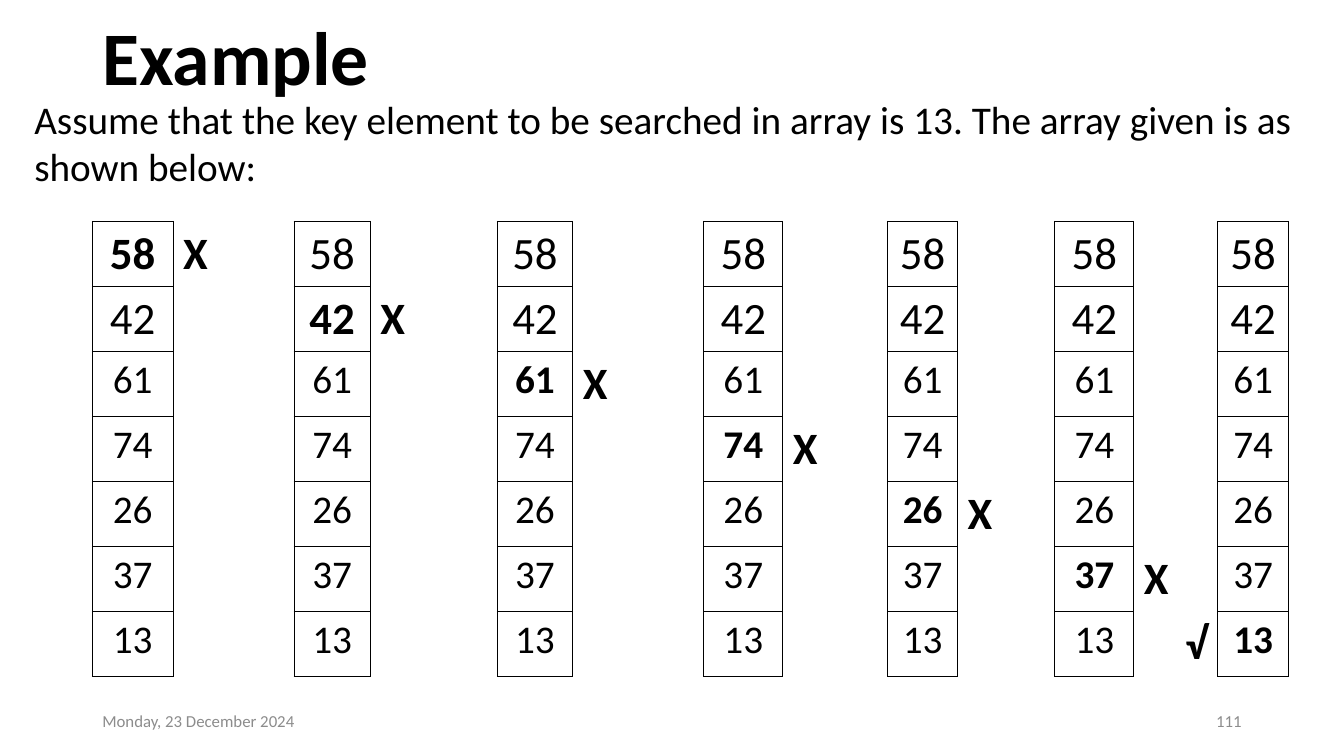
import pptx
import pptx.dml.color
import pptx.enum.text
import pptx.oxml.ns
import pptx.util
import lxml.etree

ALIGN = pptx.enum.text.PP_ALIGN
ANCHOR = pptx.enum.text.MSO_ANCHOR
AUTO_SIZE = pptx.enum.text.MSO_AUTO_SIZE
NO_TABLE_STYLE = "{2D5ABB26-0587-4C30-8999-92F81FD0307C}"
SIDES = {"a:lnL": (0, -1), "a:lnR": (0, 1), "a:lnT": (-1, 0), "a:lnB": (1, 0)}


def color(hex_text):
    return pptx.dml.color.RGBColor.from_string(hex_text)


def add_element(parent, tag, **attributes):
    return lxml.etree.SubElement(parent, pptx.oxml.ns.qn(tag), **attributes)


class SlideBuilder:
    """Holds the style and the current slide; lengths are in a 160 by 90 grid."""

    font_name = "Calibri"
    ink = "000000"
    muted = "8C8C8C"

    def __init__(self, presentation):
        self.column = presentation.slide_width / 160
        self.row = presentation.slide_height / 90
        self.slide = presentation.slides.add_slide(presentation.slide_layouts[5])

    def across(self, columns):
        return round(columns * self.column)

    def down(self, rows):
        return round(rows * self.row)

    def place(self, left, top, width, height):
        return self.across(left), self.down(top), self.across(width), self.down(height)

    def fill_text(self, frame, text, size, bold=False, ink=None, **paragraph_format):
        paragraph = frame.paragraphs[0]
        for name, value in paragraph_format.items():
            setattr(paragraph, name, value)
        run = paragraph.add_run()
        run.text = text
        font_format = {"name": self.font_name, "size": pptx.util.Pt(size), "bold": bold}
        for name, value in font_format.items():
            setattr(run.font, name, value)
        run.font.color.rgb = color(ink or self.ink)

    def title(self, text, box, size):
        shape = self.slide.shapes.title
        position = dict(zip(("left", "top", "width", "height"), self.place(*box)))
        for name, value in position.items():
            setattr(shape, name, value)
        frame = shape.text_frame
        frame.vertical_anchor = ANCHOR.MIDDLE
        self.fill_text(frame, text, size, bold=True, alignment=ALIGN.LEFT, line_spacing=0.9)

    def text(self, text, box, size, alignment, ink=None, **frame_format):
        frame = self.slide.shapes.add_textbox(*self.place(*box)).text_frame
        for name, value in {"word_wrap": True, **frame_format}.items():
            setattr(frame, name, value)
        self.fill_text(frame, text, size, ink=ink, alignment=alignment)

    def table(self, left, top, widths, heights):
        box = self.place(left, top, sum(widths), sum(heights))
        table = self.slide.shapes.add_table(len(heights), len(widths), *box).table
        table.first_row = table.horz_banding = False
        table._tbl.tblPr.find(pptx.oxml.ns.qn("a:tableStyleId")).text = NO_TABLE_STYLE
        for table_column, width in zip(table.columns, widths):
            table_column.width = self.across(width)
        for table_row, height in zip(table.rows, heights):
            table_row.height = self.down(height)
        return table

    def border(self, cell, sides):
        properties = cell._tc.get_or_add_tcPr()
        for side in sides:
            line = add_element(properties, side, w=str(pptx.util.Pt(0.75)))
            fill = add_element(line, "a:solidFill")
            add_element(fill, "a:srgbClr", val=self.ink)
        cell.fill.background()

    def search_steps(self, left, top, widths, heights, values):
        table = self.table(left, top, widths, heights)
        last = len(values) - 1

        # Values in even columns, the step's verdict in a gap column
        content = {}
        for step in range(len(values)):
            for index, value in enumerate(values):
                size = 32 if index < 2 else 28
                content[index + 1, 2 * step] = (value, size, index == step, ALIGN.CENTER)
            if step < last:
                content[step + 1, 2 * step + 1] = ("X", 32, True, ALIGN.JUSTIFY)
        content[last + 1, 2 * last - 1] = ("√", 32, True, ALIGN.RIGHT)

        def boxed(row, column):
            return 1 <= row <= len(values) and 0 <= column < len(widths) and column % 2 == 0

        # Text and borders; an edge shows on both cells that share it
        for row in range(len(heights)):
            for column in range(len(widths)):
                cell = table.cell(row, column)
                if (row, column) in content:
                    text, size, bold, alignment = content[row, column]
                    self.fill_text(cell.text_frame, text, size, bold, alignment=alignment)
                else:
                    add_element(cell.text_frame.paragraphs[0]._p, "a:endParaRPr", sz="800")
                self.border(cell, [side for side, (rows, columns) in SIDES.items()
                                   if boxed(row, column) or boxed(row + rows, column + columns)])


def main():
    presentation = pptx.Presentation()
    presentation.slide_width = pptx.util.Inches(13.33)
    presentation.slide_height = pptx.util.Inches(7.5)
    builder = SlideBuilder(presentation)

    # Title
    builder.title("Example", (11, 1.2, 138, 12.1), 54)

    # Linear search, one array per step
    values = ["58", "42", "61", "74", "26", "37", "13"]
    widths = [9.6, 14.4, 9.1, 15.1, 9, 15.6, 9.4, 12.5, 8.3, 11.6, 9.4, 10, 8.4]
    heights = [3.8] + [7.74] * len(values) + [2.9]
    builder.search_steps(11, 22.56, widths, heights, values)

    # Date and slide number
    for text, left, alignment in (("Monday, 23 December 2024", 11, ALIGN.LEFT),
                                  ("111", 113, ALIGN.RIGHT)):
        builder.text(text, (left, 83.4, 36, 4.8), 12, alignment, builder.muted,
                     vertical_anchor=ANCHOR.MIDDLE)

    # Introduction
    builder.text("Assume that the key element to be searched in array is 13. "
                 "The array given is as shown below:",
                 (2.9, 10.7, 152, 12.5), 28, ALIGN.JUSTIFY,
                 auto_size=AUTO_SIZE.SHAPE_TO_FIT_TEXT)

    presentation.save("out.pptx")


if __name__ == "__main__":
    main()
